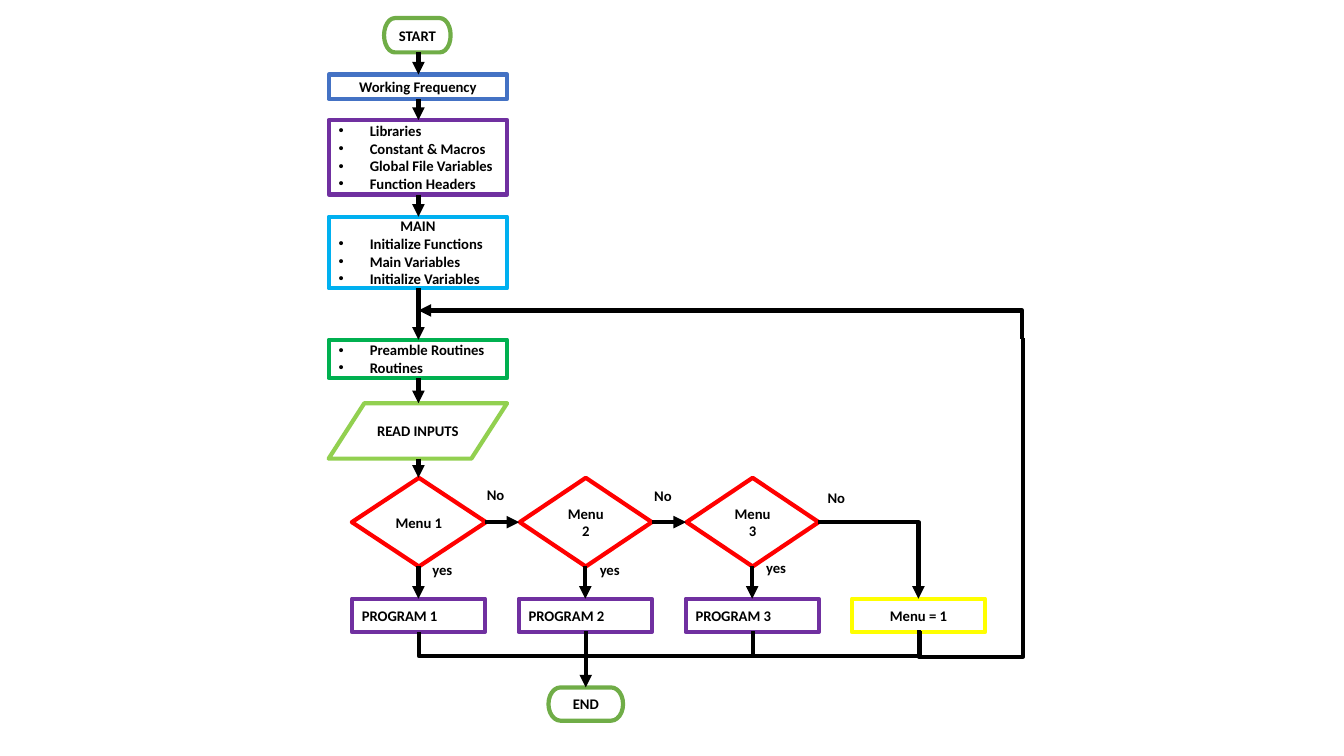
"""Build a one-slide program flowchart with menu decisions and a return loop."""
from dataclasses import dataclass

import lxml.etree
import pptx
import pptx.dml.color
import pptx.enum.shapes
import pptx.enum.text
import pptx.oxml
import pptx.oxml.ns
import pptx.util

Inches = pptx.util.Inches
Pt = pptx.util.Pt
SHAPE = pptx.enum.shapes.MSO_SHAPE
LINK = pptx.enum.shapes.MSO_CONNECTOR
ALIGN = pptx.enum.text.PP_ALIGN
qn = pptx.oxml.ns.qn

BLACK, PURPLE, RED, OLIVE = "000000", "7030A0", "FF0000", "70AD47"
COLUMN_X, PITCH = 4.15, 1.655
MENU_Y, PROGRAM_Y = 5.18, 5.94


@dataclass
class Node:
    kind: int
    x: float
    y: float
    w: float
    h: float
    color: str
    title: str = ""
    bullets: tuple[str, ...] = ()
    align: int = ALIGN.CENTER


@dataclass
class Arrow:
    x1: float
    y1: float
    x2: float
    y2: float


@dataclass
class Elbow:
    x: float
    y: float
    w: float
    h: float
    rotation: int = 0
    flips: str = ""
    preset: str = "bentConnector3"
    bend: float | None = None
    arrow: bool = False


@dataclass
class Label:
    x: float
    y: float
    w: float
    text: str


def rgb(color: str) -> pptx.dml.color.RGBColor:
    """Turn a hex string into a colour."""
    return pptx.dml.color.RGBColor.from_string(color)


def add_run(p, text: str) -> None:
    """Add one bold run in the chart's font."""
    r = p.add_run()
    r.text = text
    r.font.name, r.font.size, r.font.bold = "Calibri", Pt(10.5), True
    r.font.color.rgb = rgb(BLACK)


def set_bullet(p) -> None:
    """Give a paragraph a hanging bullet."""
    pPr = p._p.get_or_add_pPr()
    pPr.set("marL", str(Inches(0.31)))
    pPr.set("indent", str(-Inches(0.31)))
    lxml.etree.SubElement(pPr, qn("a:buFont")).set("typeface", "Arial")
    lxml.etree.SubElement(pPr, qn("a:buChar")).set("char", "•")


def draw_node(s, n: Node) -> None:
    """Draw an outlined flowchart shape with its text."""
    sp = s.shapes.add_shape(n.kind, Inches(n.x), Inches(n.y), Inches(n.w), Inches(n.h))
    sp.shadow.inherit = False
    sp.fill.background()
    sp.line.color.rgb = rgb(n.color)
    sp.line.width = Pt(3)
    tf = sp.text_frame
    tf.word_wrap = True
    tf.vertical_anchor = pptx.enum.text.MSO_ANCHOR.MIDDLE
    lines = ([n.title] if n.title else []) + list(n.bullets)
    for i, text in enumerate(lines):
        p = tf.paragraphs[0] if i == 0 else tf.add_paragraph()
        if text in n.bullets:
            p.alignment = ALIGN.LEFT
            set_bullet(p)
        else:
            p.alignment = n.align
        add_run(p, text)


def style_link(c, arrow: bool) -> None:
    """Style a connector as a thick black line."""
    c.line.color.rgb = rgb(BLACK)
    c.line.width = Pt(3)
    if arrow:
        ln = c.line._get_or_add_ln()
        lxml.etree.SubElement(ln, qn("a:tailEnd")).set("type", "triangle")
    lxml.etree.SubElement(c._element.spPr, qn("a:effectLst"))


def draw_arrow(s, a: Arrow) -> None:
    """Draw a straight arrow."""
    c = s.shapes.add_connector(LINK.STRAIGHT, Inches(a.x1), Inches(a.y1), Inches(a.x2), Inches(a.y2))
    style_link(c, True)


def draw_elbow(s, e: Elbow) -> None:
    """Draw a bent connector in its turned frame."""
    c = s.shapes.add_connector(LINK.ELBOW, Inches(e.x), Inches(e.y), Inches(e.x + e.w), Inches(e.y + e.h))
    spPr = c._element.spPr
    xfrm, geom = spPr.find(qn("a:xfrm")), spPr.find(qn("a:prstGeom"))
    xfrm.set("rot", str(e.rotation * 60000))
    for flip in e.flips:
        xfrm.set("flip" + flip.upper(), "1")
    geom.set("prst", e.preset)
    if e.bend is not None:
        gd = lxml.etree.SubElement(geom.find(qn("a:avLst")), qn("a:gd"))
        gd.set("name", "adj1")
        gd.set("fmla", f"val {round(e.bend * 100000)}")
    style_link(c, e.arrow)


def draw_label(s, b: Label) -> None:
    """Draw a branch label."""
    tf = s.shapes.add_textbox(Inches(b.x), Inches(b.y), Inches(b.w), Inches(0.28)).text_frame
    tf.word_wrap = False
    tf.auto_size = pptx.enum.text.MSO_AUTO_SIZE.SHAPE_TO_FIT_TEXT
    add_run(tf.paragraphs[0], b.text)


def main() -> None:
    """Lay out the flowchart and save it."""
    prs = pptx.Presentation()
    prs.slide_width, prs.slide_height = Inches(13.33), Inches(7.5)
    s = prs.slides.add_slide(prs.slide_layouts[6])

    box = SHAPE.FLOWCHART_PROCESS
    nodes = [
        Node(SHAPE.FLOWCHART_TERMINATOR, 3.81, 0.18, 0.66, 0.34, OLIVE, "START"),
        Node(box, 3.26, 0.74, 1.77, 0.24, "4472C4", "Working Frequency"),
        Node(box, 3.26, 1.19, 1.77, 0.74, PURPLE, bullets=(
            "Libraries", "Constant & Macros", "Global File Variables", "Function Headers")),
        Node(box, 3.26, 2.15, 1.77, 0.71, "00B0F0", "MAIN", (
            "Initialize Functions", "Main Variables", "Initialize Variables")),
        Node(box, 3.26, 3.37, 1.77, 0.38, "00B050", bullets=("Preamble Routines", "Routines")),
        Node(SHAPE.FLOWCHART_DATA, 3.26, 4, 1.77, 0.55, "92D050", "READ INPUTS"),
        Node(box, 8.45, PROGRAM_Y, 1.32, 0.33, "FFFF00", "Menu = 1"),
        Node(SHAPE.FLOWCHART_TERMINATOR, 5.44, 6.82, 0.74, 0.33, OLIVE, "END"),
    ]
    column = nodes[:6]
    arrows = [Arrow(COLUMN_X, a.y + a.h, COLUMN_X, b.y) for a, b in zip(column, column[1:])]
    arrows += [Arrow(COLUMN_X, 4.55, COLUMN_X, 4.74), Arrow(5.81, 6.27, 5.81, 6.82)]
    elbows = [
        Elbow(8.11, MENU_Y, 1, 0.76, preset="bentConnector2", arrow=True),
        Elbow(8.18, 4.29, 2.9, 1.03, 90, "hv", bend=-0.09),
        Elbow(COLUMN_X, 3.08, 5.99, 0.28, 180, bend=0, arrow=True),
    ]
    for i, width in enumerate((1.33, 1.31, 1.31)):
        x = COLUMN_X + PITCH * i
        nodes.append(Node(SHAPE.FLOWCHART_DECISION, x + 0.005 - width / 2, 4.74, width, 0.88, RED, f"Menu {i + 1}"))
        nodes.append(Node(box, x - 0.66, PROGRAM_Y, 1.32, 0.33, PURPLE, f"PROGRAM {i + 1}", align=ALIGN.LEFT))
        arrows.append(Arrow(x, 5.62, x, PROGRAM_Y))
        if i < 2:
            arrows.append(Arrow(x + 0.66, MENU_Y, x + 1, MENU_Y))
        elbows.append(Elbow(x + PITCH / 2, 5.44, 0.01, PITCH, 90, bend=25))

    labels = [Label(x, y, 0.41, "yes") for x, y in ((4.19, 5.51), (5.85, 5.51), (7.5, 5.49))]
    labels += [Label(x, y, 0.38, "No") for x, y in ((4.73, 4.77), (6.39, 4.78), (8.11, 4.8))]

    for items, draw in ((nodes, draw_node), (arrows, draw_arrow), (elbows, draw_elbow), (labels, draw_label)):
        for item in items:
            draw(s, item)
    prs.save("out.pptx")


if __name__ == "__main__":
    main()
